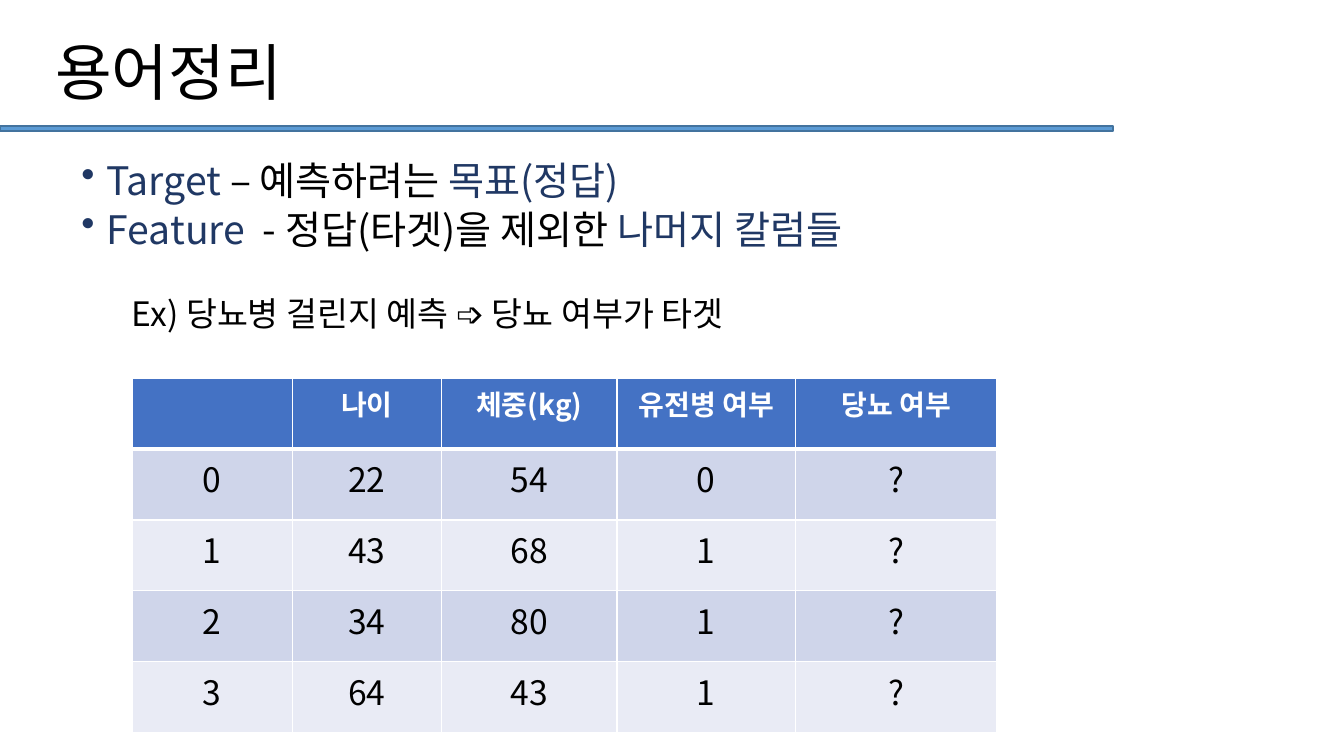
from dataclasses import dataclass
from lxml.etree import SubElement as Sub, Element as Elem
from pptx import Presentation as Deck
from pptx.dml.color import RGBColor as Rgb
from pptx.enum.shapes import MSO_SHAPE as Kind
from pptx.enum.text import MSO_ANCHOR as Anchor, PP_ALIGN as Align
from pptx.oxml.ns import qn
from pptx.util import Inches, Pt


@dataclass(frozen=True)
class Theme:
    face: str = "Noto Sans CJK KR"
    black: str = "000000"
    white: str = "FFFFFF"
    navy: str = "203864"
    rule: str = "5B9BD5"
    edge: str = "43739E"
    head: str = "4472C4"
    bands: tuple = ("CFD5EA", "E9EBF5")
    title: int = 44
    body: int = 28
    note: int = 24
    label: int = 20
    cell: int = 24


@dataclass(frozen=True)
class Line:
    runs: tuple  # pairs of text and colour
    size: int
    gap: int
    left: float = 0
    bullet: str = ""


T = Theme()
TITLE = Line((("용어정리", T.black),), T.title, 0)
BODY = (
    Line((("Target ", T.navy), ("– 예측하려는 ", T.black), ("목표(정답)", T.navy)),
         T.body, 8, 0.25, "•"),
    Line((("Feature ", T.navy), (" - 정답(타겟)을 제외한 ", T.black), ("나머지 칼럼들", T.navy)),
         T.body, 8, 0.25, "•"),
    Line((("Ex) 당뇨병 걸린지 예측 ➩ 당뇨 여부가 타겟", T.black),), T.note, 35, 0.5),
)
WIDTHS = (1.59, 1.48, 1.74, 1.77, 2)
ROWS = (
    ("", "나이", "체중(kg)", "유전병 여부", "당뇨 여부"),
    ("0", "22", "54", "0", "?"),
    ("1", "43", "68", "1", "?"),
    ("2", "34", "80", "1", "?"),
    ("3", "64", "43", "1", "?"),
)


def style(para, size: int, hue: str, bold: bool = False) -> None:
    """Set the paragraph font for Latin and Korean text."""
    font = para.font
    font.size, font.bold, font.name = Pt(size), bold, T.face
    font.color.rgb = Rgb.from_string(hue)
    Sub(para._p.pPr.find(qn("a:defRPr")), qn("a:ea"), typeface=T.face)


def write(para, line: Line, pitch: float) -> None:
    props = para._p.get_or_add_pPr()
    props.set("marL", str(Inches(line.left)))
    if line.bullet:
        props.set("indent", str(-Inches(line.left)))
        tint = Sub(props, qn("a:buClr"))
        Sub(tint, qn("a:srgbClr"), val=line.runs[0][1])
        Sub(props, qn("a:buChar"), char=line.bullet)
    para.line_spacing, para.space_before = pitch, Pt(line.gap)
    style(para, line.size, line.runs[0][1])
    for text, hue in line.runs:
        run = para.add_run()
        run.text = text
        run.font.color.rgb = Rgb.from_string(hue)


def add_text(slide, box: tuple, lines: tuple, pitch: float, anchor) -> None:
    frame = slide.shapes.add_textbox(*map(Inches, box)).text_frame
    frame.word_wrap, frame.vertical_anchor = True, anchor
    for i, line in enumerate(lines):
        para = frame.add_paragraph() if i else frame.paragraphs[0]
        write(para, line, pitch)


def border(cell, top: int, base: int) -> None:
    """Draw white cell borders, with widths in points."""
    props = cell._tc.get_or_add_tcPr()
    sides = (("L", 1), ("R", 1), ("T", top), ("B", base))
    for i, (side, width) in enumerate(sides):
        edge = Elem(qn(f"a:ln{side}"), w=str(Pt(width)))
        fill = Sub(edge, qn("a:solidFill"))
        Sub(fill, qn("a:srgbClr"), val=T.white)
        props.insert(i, edge)


def add_grid(slide) -> None:
    box = map(Inches, (1.31, 3.75, sum(WIDTHS), 3.52))
    grid = slide.shapes.add_table(len(ROWS), len(WIDTHS), *box).table
    grid.first_row = grid.horz_banding = False
    for col, width in zip(grid.columns, WIDTHS):
        col.width = Inches(width)
    for r, row in enumerate(ROWS):
        head = r == 0
        for c, text in enumerate(row):
            cell = grid.cell(r, c)
            cell.fill.solid()
            hue = T.head if head else T.bands[(r - 1) % 2]
            cell.fill.fore_color.rgb = Rgb.from_string(hue)
            border(cell, 3 if r == 1 else 1, 3 if head else 1)
            cell.text = text
            para = cell.text_frame.paragraphs[0]
            para.alignment = Align.CENTER
            style(para, T.label if head else T.cell,
                  T.white if head else T.black, head)


def add_rule(slide) -> None:
    bar = slide.shapes.add_shape(Kind.RECTANGLE, *map(Inches, (0, 1.25, 11.04, 0.05)))
    bar.shadow.inherit = False
    bar.fill.solid()
    bar.fill.fore_color.rgb = Rgb.from_string(T.rule)
    bar.line.color.rgb = Rgb.from_string(T.edge)
    bar.line.width = Pt(1)


def main() -> None:
    deck = Deck()
    deck.slide_width, deck.slide_height = Inches(13.33), Inches(7.5)
    slide = deck.slides.add_slide(deck.slide_layouts[6])
    # Title and terms
    add_text(slide, (0.45, 0.02, 11.5, 1.45), (TITLE,), 0.9, Anchor.MIDDLE)
    add_text(slide, (0.71, 1.59, 11.5, 4.76), BODY, 0.8, Anchor.TOP)
    # Rule under the title
    add_rule(slide)
    # Example data
    add_grid(slide)
    deck.save("out.pptx")


if __name__ == "__main__":
    main()
